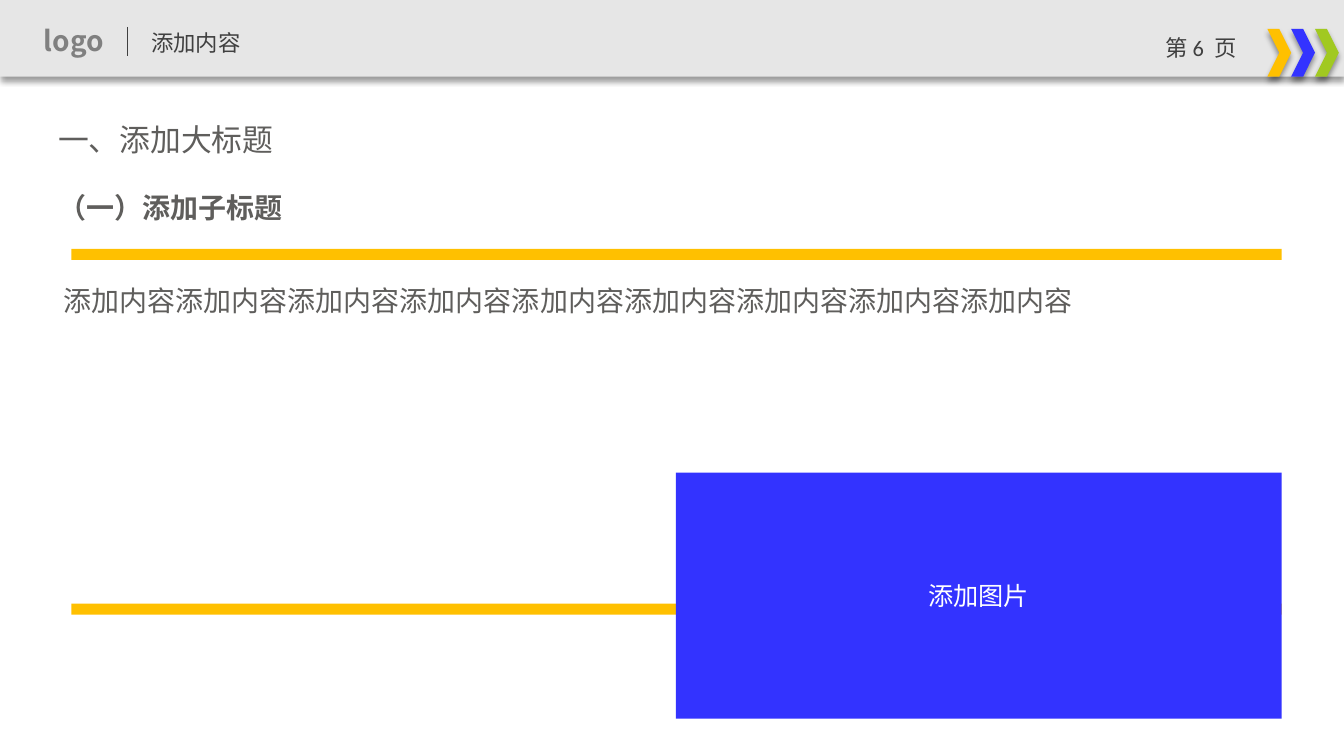
from lxml.etree import SubElement
from pptx import Presentation
from pptx.dml.color import RGBColor
from pptx.enum.shapes import MSO_CONNECTOR, MSO_SHAPE
from pptx.enum.text import MSO_ANCHOR, PP_ALIGN
from pptx.oxml.ns import qn
from pptx.util import Cm, Pt

COLORS = {
    "band": "E6E6E6", "ink": "404040", "logo": "808080", "body": "5F5E5C",
    "gold": "FFC000", "blue": "3333FF", "green": "A1C921",
    "white": "FFFFFF", "black": "000000",
}
CJK, LATIN = "Noto Sans CJK SC", "Calibri"

LEFT, RIGHT = 1.8, 32.31
PHOTO_W, PHOTO_H, PHOTO_TOP = 15.27, 6.2, 11.91
RULE_H, RULE_TOPS = 0.28, (15.21, 6.27)
CHEVRON_LEFT, CHEVRON_TOP, CHEVRON_W, CHEVRON_H = 31.95, 0.73, 0.6, 1.2
CHEVRONS = ["gold", "blue", "green"]

TEXTS = [
    dict(text="添加内容", at=(3.56, 0.62, 8.31, 0.94), size=16, color="ink"),
    dict(text="logo", at=(0.86, 0.18, 2.18, 1.65), size=20, color="logo",
         bold=True, anchor=MSO_ANCHOR.MIDDLE),
    dict(text="添加内容" * 9, at=(1.35, 6.76, 30.61, 3.35), size=20,
         color="body", spacing=1.3),
    dict(text="一、添加大标题", at=(1.22, 2.92, 13.82, 1.19), size=22, color="body"),
    dict(text="（一）添加子标题", at=(1.22, 4.42, 14.66, 1.37), size=20,
         color="body", bold=True, spacing=1.3),
]
PAGE_AT = (28.75, 0.74, 3.05, 1.02)
PAGE_RUNS = [("第 ", CJK), ("6 ", LATIN), ("页", CJK)]


def rgb(name):
    return RGBColor.from_string(COLORS[name])


def add_shadow(sp):
    effects = sp._element.spPr.find(qn("a:effectLst"))
    shadow = SubElement(effects, qn("a:outerShdw"), blurRad=str(Pt(4)),
                        dist=str(Pt(3)), dir="5400000", algn="t", rotWithShape="0")
    color = SubElement(shadow, qn("a:srgbClr"), val=COLORS["black"])
    SubElement(color, qn("a:alpha"), val="40000")


def add_block(s, kind, at, color, shadow=False):
    sp = s.shapes.add_shape(kind, *map(Cm, at))
    sp.shadow.inherit = False
    sp.fill.solid()
    sp.fill.fore_color.rgb = rgb(color)
    sp.line.fill.background()
    if shadow:
        add_shadow(sp)
    return sp


def set_font(font, size, color, bold=False):
    font.size, font.bold = Pt(size), bold
    font.color.rgb = rgb(color)


def set_face(font, latin, ea=CJK):
    font.name = latin
    SubElement(font._element, qn("a:ea"), typeface=ea)


def add_text(s, at, size, color, text="", bold=False, spacing=None,
             anchor=MSO_ANCHOR.TOP):
    tf = s.shapes.add_textbox(*map(Cm, at)).text_frame
    tf.word_wrap = True
    tf.vertical_anchor = anchor
    p = tf.paragraphs[0]
    p.line_spacing = spacing
    set_font(p.font, size, color, bold)
    if text:
        p.text = text
        set_face(p.font, CJK)
    return p


def main():
    prs = Presentation()
    prs.slide_width, prs.slide_height = Cm(33.88), Cm(19.05)
    s = prs.slides.add_slide(prs.slide_layouts[6])

    add_block(s, MSO_SHAPE.RECTANGLE, (0, 0, 33.88, 1.93), "band", True)
    divider = s.shapes.add_connector(MSO_CONNECTOR.STRAIGHT,
                                     Cm(3.22), Cm(0.68), Cm(3.22), Cm(1.4))
    divider.line.color.rgb = rgb("ink")
    divider.line.width = Pt(0.75)
    SubElement(divider._element.spPr, qn("a:effectLst"))

    for i, color in enumerate(CHEVRONS):
        at = (CHEVRON_LEFT + i * CHEVRON_W, CHEVRON_TOP, CHEVRON_W, CHEVRON_H)
        add_block(s, MSO_SHAPE.CHEVRON, at, color, True)

    p = add_text(s, PAGE_AT, 16, "ink")
    p.alignment = PP_ALIGN.CENTER
    for text, face in PAGE_RUNS:
        r = p.add_run()
        r.text = text
        set_face(r.font, face)
        if face == LATIN:
            r.font._element.set("spc", "180")

    for top in RULE_TOPS:
        add_block(s, MSO_SHAPE.RECTANGLE, (LEFT, top, RIGHT - LEFT, RULE_H), "gold")
    for item in TEXTS:
        add_text(s, **item)

    photo = add_block(s, MSO_SHAPE.RECTANGLE,
                      (RIGHT - PHOTO_W, PHOTO_TOP, PHOTO_W, PHOTO_H), "blue")
    tf = photo.text_frame
    tf.vertical_anchor = MSO_ANCHOR.MIDDLE
    p = tf.paragraphs[0]
    p.text = "添加图片"
    p.alignment = PP_ALIGN.CENTER
    set_font(p.font, 18, "white")
    set_face(p.font, LATIN)

    prs.save("out.pptx")


if __name__ == "__main__":
    main()
